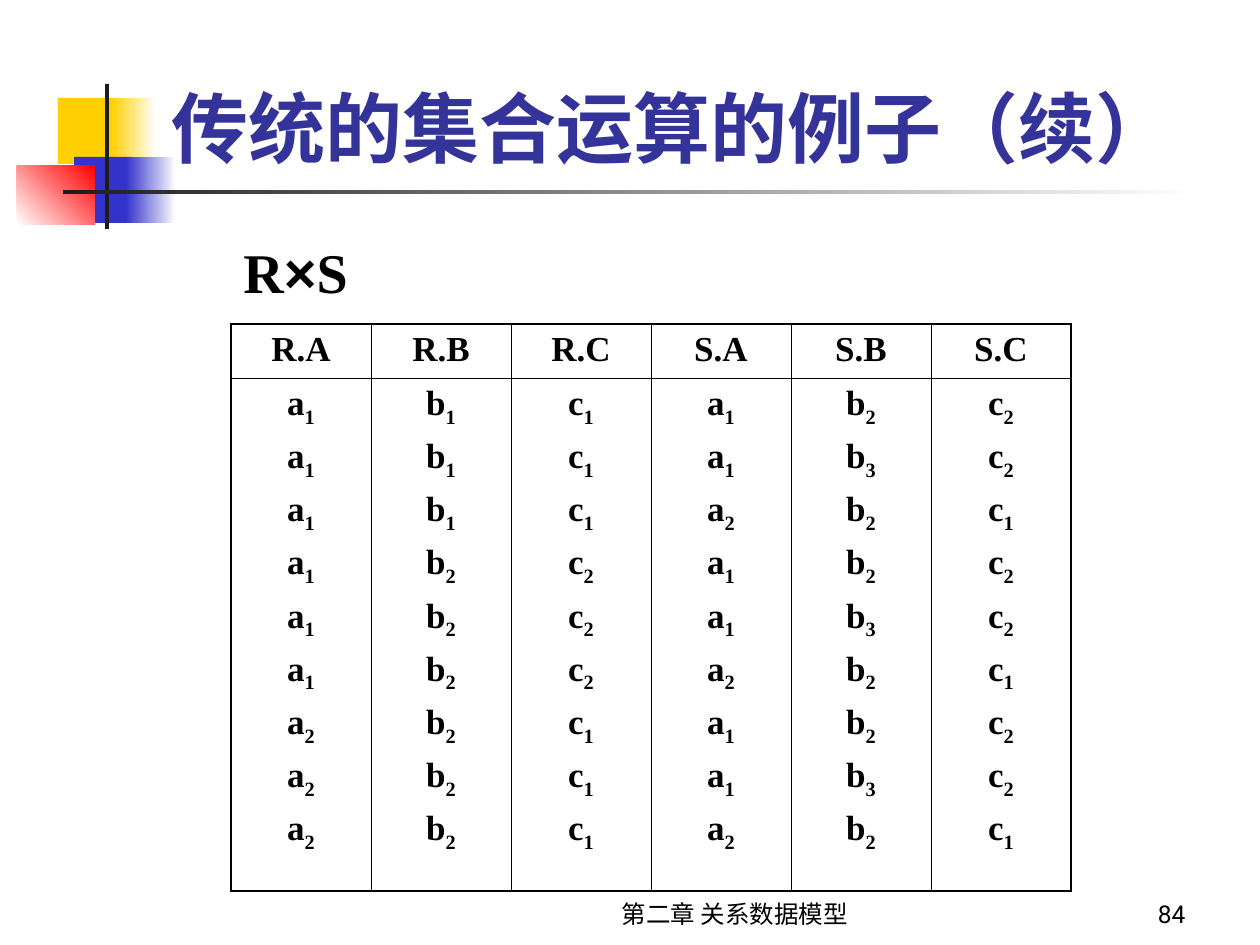
"""Build the slide that lists the product of the relations R and S."""
from itertools import product
from typing import NamedTuple, Optional

from lxml import etree
from pptx import Presentation
from pptx.dml.color import RGBColor
from pptx.enum.shapes import MSO_SHAPE
from pptx.enum.text import MSO_ANCHOR, MSO_AUTO_SIZE, PP_ALIGN
from pptx.oxml.ns import qn
from pptx.util import Pt

RECT = MSO_SHAPE.RECTANGLE
TOP, BOTTOM = MSO_ANCHOR.TOP, MSO_ANCHOR.BOTTOM
LEFT, CENTER, RIGHT = PP_ALIGN.LEFT, PP_ALIGN.CENTER, PP_ALIGN.RIGHT
GROW, FIXED = MSO_AUTO_SIZE.SHAPE_TO_FIT_TEXT, MSO_AUTO_SIZE.NONE
SERIF, SANS, PLAIN = "Times New Roman", "Roboto", "Arial"
BLACK, WHITE, INK = "000000", "FFFFFF", "1C1C1C"
GOLD, BLUE, RED, NAVY = "FFCF01", "3333CC", "FF0000", "333399"
SCALE = 914400 / 126
THICK, THIN = 1.08, 0.45


class Box(NamedTuple):
    left: int
    top: int
    width: int
    height: int


class Block(NamedTuple):
    box: Box
    start: str
    end: Optional[str] = None
    angle: int = 0


class Note(NamedTuple):
    box: Box
    text: str
    align: PP_ALIGN


BLOCKS = [
    Block(Box(58, 98, 60, 66), GOLD),
    Block(Box(111, 98, 45, 66), GOLD, WHITE),
    Block(Box(74, 157, 58, 66), BLUE),
    Block(Box(126, 157, 50, 66), BLUE, WHITE),
    Block(Box(17, 166, 78, 59), WHITE, RED, 45),
    Block(Box(105, 84, 4, 145), INK),
    Block(Box(63, 190, 1134, 4), INK, WHITE),
]
NOTES = [
    Note(Box(483, 872, 504, 63), "第二章 关系数据模型", CENTER),
    Note(Box(1040, 872, 158, 63), "84", RIGHT),
]
HEADS = ["R.A", "R.B", "R.C", "S.A", "S.B", "S.C"]
R_ROWS = ["111", "122", "221"]
S_ROWS = ["122", "132", "221"]
GRID = Box(231, 324, 840, 567)
HEAD_ROW = 54


def px(count: int) -> int:
    """Turn pixels into EMU."""
    return round(count * SCALE)


def place(box: Box) -> list[int]:
    """Turn a box into EMU lengths."""
    return [px(side) for side in box]


def color(code: str) -> RGBColor:
    """Read a hex colour."""
    return RGBColor.from_string(code)


def style(para, face: str, size: int, code: str, bold: bool, align) -> None:
    """Set the font and alignment of a paragraph."""
    para.alignment = align
    font = para.font
    font.name, font.size, font.bold = face, Pt(size), bold
    font.color.rgb = color(code)


def draw_block(slide, block: Block) -> None:
    """Draw a plain or fading rectangle."""
    shape = slide.shapes.add_shape(RECT, *place(block.box))
    shape.shadow.inherit = False
    shape.line.fill.background()
    if block.end is None:
        shape.fill.solid()
        shape.fill.fore_color.rgb = color(block.start)
        return
    shape.fill.gradient()
    shape.fill.gradient_angle = block.angle
    for stop, code in zip(shape.fill.gradient_stops, (block.start, block.end)):
        stop.color.rgb = color(code)


def add_frame(slide, box: Box, anchor, fit):
    """Add a wrapping text box and return its frame."""
    frame = slide.shapes.add_textbox(*place(box)).text_frame
    frame.word_wrap = True
    frame.vertical_anchor = anchor
    frame.auto_size = fit
    return frame


def draw_note(slide, note: Note) -> None:
    """Draw a footer text."""
    para = add_frame(slide, note.box, BOTTOM, FIXED).paragraphs[0]
    para.text = note.text
    style(para, SANS, 14, BLACK, False, note.align)


def draw_title(slide) -> None:
    """Fill and move the title."""
    title = slide.shapes.title
    title.left, title.top, title.width, title.height = place(Box(159, 53, 1074, 126))
    frame = title.text_frame
    frame.vertical_anchor = BOTTOM
    frame.auto_size = FIXED
    frame.text = "传统的集合运算的例子（续）"
    style(frame.paragraphs[0], SERIF, 44, NAVY, True, LEFT)


def draw_label(slide) -> None:
    """Draw the name of the product."""
    para = add_frame(slide, Box(231, 231, 199, 81), TOP, GROW).paragraphs[0]
    style(para, SERIF, 32, BLACK, True, LEFT)
    for text, face in (("R", SERIF), ("×", PLAIN), ("S", SERIF)):
        run = para.add_run()
        run.text, run.font.name = text, face


def set_edges(cell, row: int, col: int) -> None:
    """Give a cell thick outer and thin inner borders."""
    cell.fill.background()
    props = cell._tc.get_or_add_tcPr()
    outer = {"L": col == 0, "R": col == len(HEADS) - 1, "T": row == 0, "B": row == 1}
    for spot, (side, thick) in enumerate(outer.items()):
        width = Pt(THICK if thick else THIN)
        line = etree.Element(qn(f"a:ln{side}"), w=str(int(width)))
        fill = etree.SubElement(line, qn("a:solidFill"))
        etree.SubElement(fill, qn("a:srgbClr"), val=BLACK)
        props.insert(spot, line)


def fill_cell(cell, items: list[tuple[str, str]]) -> None:
    """Write one line per item, with its index lowered."""
    frame = cell.text_frame
    for spot, (base, index) in enumerate(items):
        para = frame.add_paragraph() if spot else frame.paragraphs[0]
        if spot:
            para.space_before = Pt(5)
        style(para, SERIF, 20, BLACK, True, CENTER)
        para.add_run().text = base
        if index:
            run = para.add_run()
            run.text = index
            run._r.get_or_add_rPr().set("baseline", "-25000")


def draw_table(slide) -> None:
    """Draw the table of joined rows."""
    table = slide.shapes.add_table(2, len(HEADS), *place(GRID)).table
    table.first_row = table.horz_banding = False
    for row, height in zip(table.rows, (HEAD_ROW, GRID.height - HEAD_ROW)):
        row.height = px(height)
    joined = [left + right for left, right in product(R_ROWS, S_ROWS)]
    for col, (head, marks) in enumerate(zip(HEADS, zip(*joined))):
        table.columns[col].width = px(GRID.width // len(HEADS))
        body = [(head[-1].lower(), mark) for mark in marks]
        for row, items in enumerate(([(head, "")], body)):
            cell = table.cell(row, col)
            fill_cell(cell, items)
            set_edges(cell, row, col)


def main() -> None:
    """Build and save the slide."""
    deck = Presentation()
    deck.slide_width, deck.slide_height = px(1260), px(945)
    slide = deck.slides.add_slide(deck.slide_layouts[5])
    for block in BLOCKS:
        draw_block(slide, block)
    for note in NOTES:
        draw_note(slide, note)
    draw_title(slide)
    draw_table(slide)
    draw_label(slide)
    deck.save("out.pptx")


if __name__ == "__main__":
    main()
